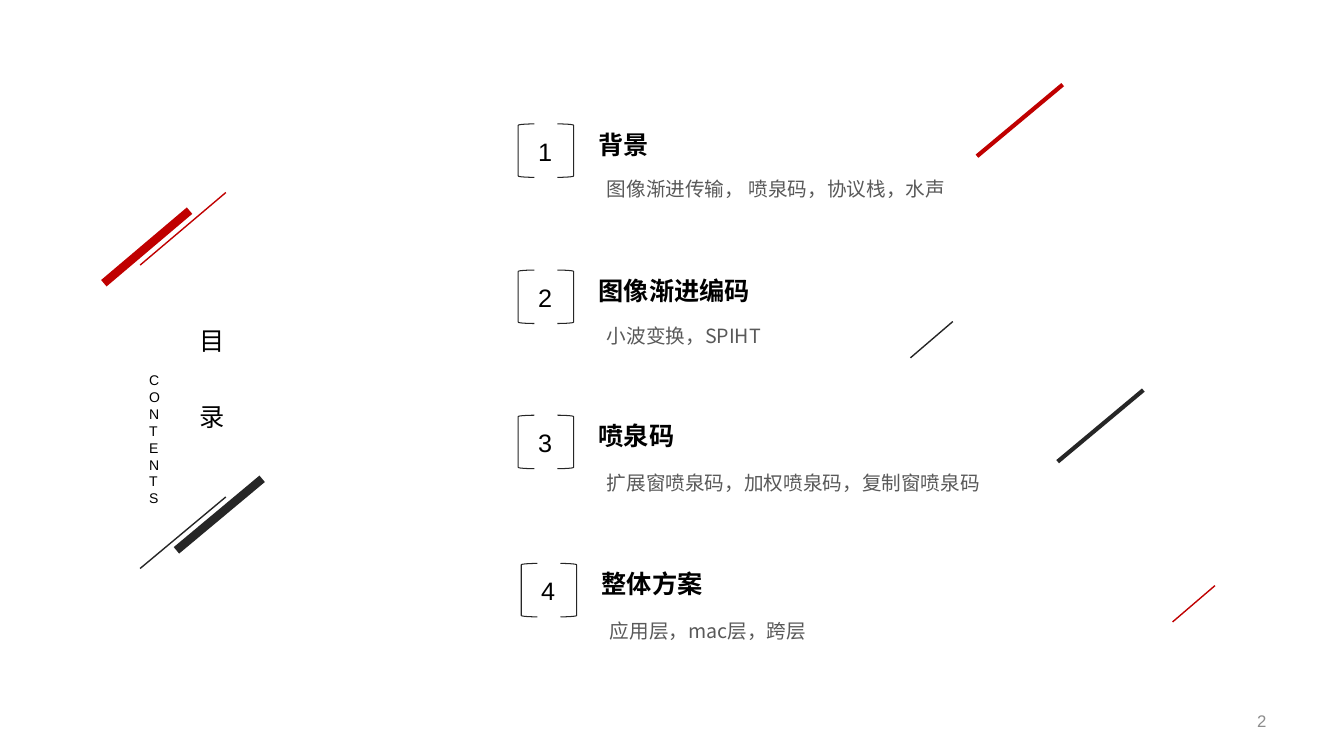
import pptx
import pptx.dml.color
import pptx.enum.shapes
import pptx.enum.text
import pptx.oxml.ns
import pptx.util
from lxml import etree
from pptx.util import Inches

RED, DARK, BLACK, GREY = "C00000", "262626", "000000", "595959"
HAN_FONT = "Noto Sans CJK SC"

# number, heading, detail, left, top, heading width, detail offset
CHAPTERS = [
    ("1", "背景", "图像渐进传输， 喷泉码，协议栈，水声", 5.14, 1.23, 0.71, 0.48),
    ("2", "图像渐进编码", "小波变换，SPIHT", 5.14, 2.68, 1.7, 0.48),
    ("3", "喷泉码", "扩展窗喷泉码，加权喷泉码，复制窗喷泉码", 5.14, 4.12, 0.95, 0.5),
    ("4", "整体方案", "应用层，mac层，跨层", 5.17, 5.59, 1.21, 0.5),
]

# right end x, top y, width, height, colour, weight
STROKES = [
    (1.88, 2.09, 0.85, 0.72, RED, 6),
    (2.24, 1.91, 0.85, 0.72, RED, 1),
    (2.6, 4.75, 0.85, 0.71, DARK, 6),
    (2.24, 4.93, 0.85, 0.71, DARK, 1),
    (10.54, 0.84, 0.85, 0.71, RED, 3),
    (9.45, 3.19, 0.42, 0.36, DARK, 1),
    (12.05, 5.81, 0.42, 0.36, RED, 1),
    (11.34, 3.87, 0.85, 0.71, DARK, 3),
]


def rgb(colour):
    return pptx.dml.color.RGBColor.from_string(colour)


def set_font(paragraph, size, colour, bold=False, name="Arial"):
    font = paragraph.font
    font.name, font.size, font.bold = name, pptx.util.Pt(size), bold
    font.color.rgb = rgb(colour)
    # East Asian typeface for the Chinese characters
    properties = paragraph._p.get_or_add_pPr().find(pptx.oxml.ns.qn("a:defRPr"))
    east_asian = etree.SubElement(properties, pptx.oxml.ns.qn("a:ea"))
    east_asian.set("typeface", HAN_FONT)


def add_label(slide, text, left, top, width, height, size, colour=BLACK,
              wrap=False, **font_options):
    label = slide.shapes.add_textbox(
        Inches(left), Inches(top), Inches(width), Inches(height))
    frame = label.text_frame
    frame.word_wrap = wrap
    frame.auto_size = pptx.enum.text.MSO_AUTO_SIZE.SHAPE_TO_FIT_TEXT
    frame.text = text
    set_font(frame.paragraphs[0], size, colour, **font_options)
    return frame


def add_stroke(slide, right, top, width, height, colour, weight):
    stroke = slide.shapes.add_connector(
        pptx.enum.shapes.MSO_CONNECTOR.STRAIGHT, Inches(right), Inches(top),
        Inches(right - width), Inches(top + height))
    stroke.line.color.rgb = rgb(colour)
    stroke.line.width = pptx.util.Pt(weight)
    etree.SubElement(stroke._element.spPr, pptx.oxml.ns.qn("a:effectLst"))


def add_bracket(slide, left, top, mirrored):
    bracket = slide.shapes.add_shape(
        pptx.enum.shapes.MSO_SHAPE.LEFT_BRACKET,
        Inches(left), Inches(top), Inches(0.16), Inches(0.53))
    bracket.shadow.inherit = False
    bracket.fill.background()
    bracket.line.color.rgb = rgb(DARK)
    bracket.line.width = pptx.util.Pt(0.75)
    if mirrored:
        bracket._element.spPr.xfrm.set("flipH", "1")


def add_chapter(slide, number, heading, detail, left, top, heading_width,
                detail_offset):
    add_label(slide, number, left + 0.1, top + 0.07, 0.34, 0.4, 18)
    add_bracket(slide, left, top, mirrored=False)
    add_bracket(slide, left + 0.39, top, mirrored=True)
    add_label(slide, heading, left + 0.7, top, heading_width, 0.4, 18, bold=True)
    add_label(slide, detail, left + 0.78, top + detail_offset, 4.57, 0.34, 14,
              GREY, wrap=True, name=HAN_FONT)


def set_title(slide):
    title = slide.shapes.title
    title.left, title.top = Inches(1.88), Inches(2.73)
    title.width, title.height = Inches(0.45), Inches(1.62)
    frame = title.text_frame
    frame.text = "目\n录"
    frame.word_wrap = False
    frame.auto_size = pptx.enum.text.MSO_AUTO_SIZE.SHAPE_TO_FIT_TEXT
    frame.vertical_anchor = pptx.enum.text.MSO_ANCHOR.TOP
    for paragraph in frame.paragraphs:
        paragraph.alignment = pptx.enum.text.PP_ALIGN.LEFT
        paragraph.line_spacing = 2.5
        paragraph.space_before = pptx.util.Pt(0)
        set_font(paragraph, 18, BLACK)


def add_page_number(slide):
    frame = add_label(slide, "2", 9.55, 6.95, 3.11, 0.4, 12, "8C8C8C", wrap=True)
    frame.auto_size = pptx.enum.text.MSO_AUTO_SIZE.NONE
    frame.vertical_anchor = pptx.enum.text.MSO_ANCHOR.MIDDLE
    frame.paragraphs[0].alignment = pptx.enum.text.PP_ALIGN.RIGHT


def main():
    deck = pptx.Presentation()
    deck.slide_width, deck.slide_height = Inches(13.33), Inches(7.5)
    slide = deck.slides.add_slide(deck.slide_layouts[5])

    # Slanted decoration
    for stroke in STROKES:
        add_stroke(slide, *stroke)

    # Title, with the narrow box that stacks its letters
    set_title(slide)
    add_label(slide, "CONTENTS", 1.38, 3.64, 0.25, 1.45, 10, wrap=True)

    # Chapters
    for chapter in CHAPTERS:
        add_chapter(slide, *chapter)

    add_page_number(slide)
    deck.save("out.pptx")


if __name__ == "__main__":
    main()
